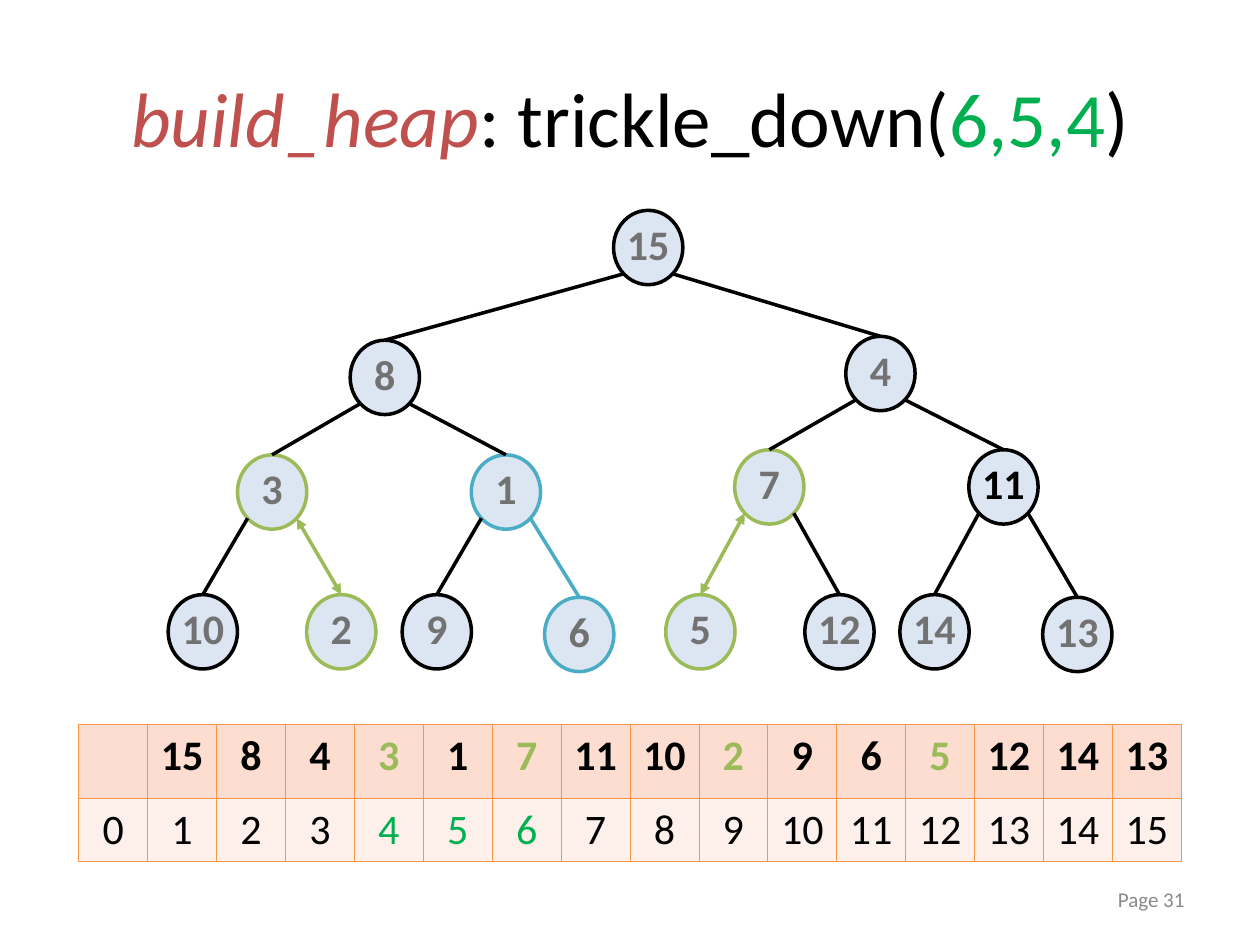
from math import sqrt
from lxml import etree
from pptx import Presentation, util as u
from pptx.dml.color import RGBColor
from pptx.enum import shapes, text
from pptx.oxml.ns import qn

HUES = {"ink": "000000", "gray": "727272", "page": "898989", "red": "C0504D",
        "green": "00B050", "olive": "9BBB59", "teal": "4BACC6", "node": "DCE6F2",
        "edge": "F79646", "head": "FCDDCF", "body": "FDEFE9"}
TITLE = [("build_heap", "red", True), (": trickle_down(", "ink", False),
         ("6,5,4", "green", False), (")", "ink", False)]
HEAP = [15, 8, 4, 3, 1, 7, 11, 10, 2, 9, 6, 5, 12, 14, 13]
SPOTS = [(370.4, 120.2), (219.9, 194.4), (503.1, 192.2),
         (155.5, 259.9), (289.1, 259.9), (439.6, 257), (573.4, 257),
         (115.9, 339.8), (195, 339.8), (249.6, 339.8), (331, 341.3),
         (400.2, 339.8), (479.7, 339.8), (534, 339.8), (615.6, 341.3)]
RINGS = {4: "olive", 5: "teal", 6: "olive", 9: "olive", 11: "teal", 12: "olive"}
EDGES = {9: "olive", 11: "teal", 12: "olive"}
SWAPS = {9, 12}
SOLID = {7}
MOVED = {4, 6, 9, 12}
CALLS = {4, 5, 6}
WIDE, HIGH = 39.6, 42.5
CELL, ROWS = 39.38, (42, 36.5)

deck = Presentation()
deck.slide_width, deck.slide_height = u.Pt(720), u.Pt(540)
slide = deck.slides.add_slide(deck.slide_layouts[6])


def hue(name):
    return RGBColor.from_string(HUES[name])


def write(para, words, tint, **form):
    run = para.add_run()
    run.text = words
    for key, val in {"name": "Calibri", "size": u.Pt(24), **form}.items():
        setattr(run.font, key, val)
    run.font.color.rgb = hue(tint)


def setup(frame, wrap, align, gap=None):
    frame.word_wrap = wrap
    frame.vertical_anchor = text.MSO_ANCHOR.MIDDLE
    para = frame.paragraphs[0]
    para.alignment = align
    para.line_spacing = gap
    return para


def box(area, align, gap=None):
    shape = slide.shapes.add_textbox(*map(u.Pt, area))
    return setup(shape.text_frame, True, align, gap)


def circle(spot, val, ring, tint):
    mid, top = spot
    node = slide.shapes.add_shape(shapes.MSO_SHAPE.OVAL, u.Pt(mid - WIDE / 2),
                                  u.Pt(top), u.Pt(WIDE), u.Pt(HIGH))
    node.shadow.inherit = False
    node.fill.solid()
    node.fill.fore_color.rgb = hue("node")
    node.line.color.rgb = hue(ring)
    node.line.width = u.Pt(2)
    para = setup(node.text_frame, False, text.PP_ALIGN.CENTER, 0.85)
    write(para, str(val), tint, bold=True)
    return node


def link(spot, side, child, tint, swap):
    mid, top = spot
    x = mid + side * WIDE / 2 / sqrt(2)
    y = top + HIGH / 2 * (1 + 1 / sqrt(2))
    line = slide.shapes.add_connector(shapes.MSO_CONNECTOR.STRAIGHT,
                                      u.Pt(x), u.Pt(y), u.Pt(x), u.Pt(y))
    line.end_connect(child, 0)
    line.line.color.rgb = hue(tint)
    line.line.width = u.Pt(2)
    if swap:
        for end in ("a:headEnd", "a:tailEnd"):
            etree.SubElement(line.line._get_or_add_ln(), qn(end), type="triangle")
    etree.SubElement(line._element.spPr, qn("a:effectLst"))


def border(cell):
    props = cell._tc.get_or_add_tcPr()
    for slot, side in enumerate(("a:lnL", "a:lnR", "a:lnT", "a:lnB")):
        line = etree.Element(qn(side), w=str(int(u.Pt(0.45))))
        fill = etree.SubElement(line, qn("a:solidFill"))
        etree.SubElement(fill, qn("a:srgbClr"), val=HUES["edge"])
        props.insert(slot, line)


para = box((36, 21.6, 648, 90), text.PP_ALIGN.CENTER)
for words, tint, slant in TITLE:
    write(para, words, tint, size=u.Pt(44), italic=slant)
para = box((516.2, 500.4, 167.8, 28.8), text.PP_ALIGN.RIGHT, 0.85)
write(para, "Page 31", "page", size=u.Pt(12))

nodes = [circle(spot, val, RINGS.get(i, "ink"), "ink" if i in SOLID else "gray")
         for i, (val, spot) in enumerate(zip(HEAP, SPOTS), 1)]
for i in range(2, len(HEAP) + 1):
    link(SPOTS[i // 2 - 1], 1 if i % 2 else -1, nodes[i - 1],
         EDGES.get(i, "ink"), i in SWAPS)

cols = len(HEAP) + 1
grid = slide.shapes.add_table(2, cols, u.Pt(45), u.Pt(414), u.Pt(CELL * cols),
                              u.Pt(sum(ROWS))).table
for col in grid.columns:
    col.width = u.Pt(CELL)
lines = [([""] + HEAP, "head", MOVED, "olive", True),
         (range(cols), "body", CALLS, "green", False)]
for r, (vals, back, marks, mark, bold) in enumerate(lines):
    grid.rows[r].height = u.Pt(ROWS[r])
    for c, val in enumerate(vals):
        cell = grid.cell(r, c)
        cell.fill.solid()
        cell.fill.fore_color.rgb = hue(back)
        border(cell)
        para = cell.text_frame.paragraphs[0]
        para.alignment = text.PP_ALIGN.CENTER
        if val != "":
            write(para, str(val), mark if c in marks else "ink", bold=bold)

deck.save("out.pptx")
